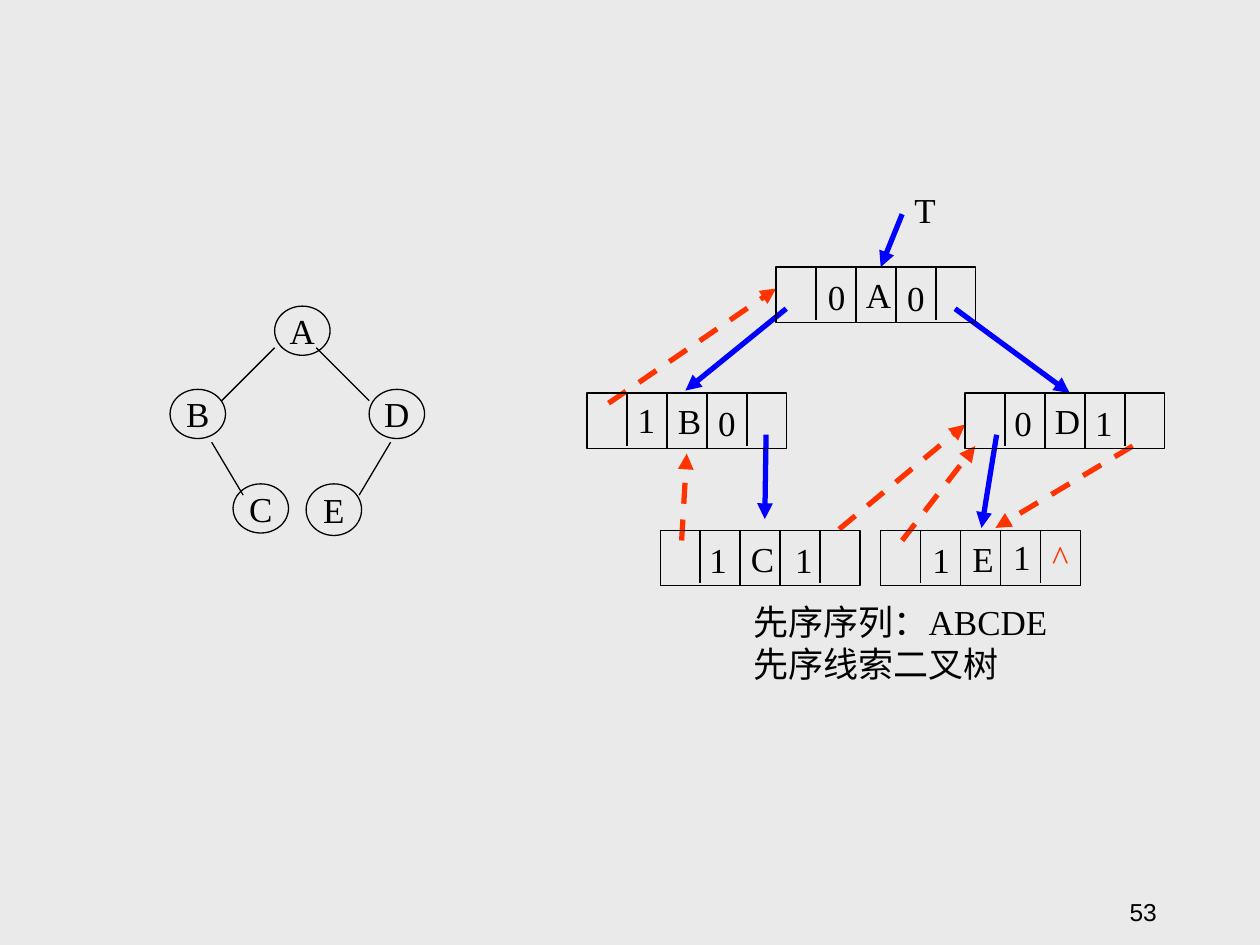
from lxml import etree
from pptx import Presentation
from pptx.dml.color import RGBColor
from pptx.enum.dml import MSO_LINE
from pptx.enum.shapes import MSO_CONNECTOR, MSO_SHAPE
from pptx.enum.text import MSO_ANCHOR, PP_ALIGN
from pptx.oxml.ns import qn
from pptx.util import Inches, Pt

STRAIGHT, DASH = MSO_CONNECTOR.STRAIGHT, MSO_LINE.DASH
OVAL, RECT = MSO_SHAPE.OVAL, MSO_SHAPE.RECTANGLE
TOP, MIDDLE, BOTTOM = MSO_ANCHOR.TOP, MSO_ANCHOR.MIDDLE, MSO_ANCHOR.BOTTOM
LEFT, CENTER, RIGHT = PP_ALIGN.LEFT, PP_ALIGN.CENTER, PP_ALIGN.RIGHT

BLACK, BLUE, RED, GRAY = "000000", "0000FF", "FF3300", "EAEAEA"
FONT = {"name": "Times New Roman", "size": Pt(20)}
NUMBER_FONT = {"name": "Arial", "size": Pt(14)}
CELL_W, NODE_H, DIGIT_W = 0.317, 0.44, 0.34
DIVIDER_HEIGHTS = [0.42, 0.44, 0.44, 0.42]

TREE_NODES = [("A", 2.18, 2.43, 0.39), ("B", 1.35, 3.09, 0.39),
              ("C", 1.85, 3.84, 0.39), ("D", 2.93, 3.09, 0.39),
              ("E", 2.43, 3.84, 0.41)]
TREE_EDGES = [(2.18, 2.76, 1.76, 3.18), (2.51, 2.76, 2.93, 3.18),
              (1.68, 3.51, 1.93, 3.93), (3.1, 3.51, 2.85, 3.93)]
CHILD_LINKS = [(6.24, 2.45, 5.44, 3.1), (7.58, 2.45, 8.49, 3.12),
               (6.08, 3.45, 6.07, 4.12), (7.91, 3.45, 7.79, 4.19),
               (7.16, 1.7, 6.99, 2.12)]
THREADS = [(4.83, 3.2, 6.16, 2.29), (5.41, 4.29, 5.45, 3.6),
           (6.66, 4.2, 7.66, 3.37), (8.99, 3.54, 7.9, 4.19),
           (7.16, 4.29, 7.74, 3.54)]
LINKED_NODES = [("A", 6.16, 2.12), ("B", 4.66, 3.12), ("D", 7.66, 3.12),
                ("C", 5.24, 4.21), ("E", 6.99, 4.21)]
TAGS = [("0", 6.47, 2.13), ("0", 7.1, 2.14), ("1", 4.96, 3.11),
        ("0", 5.6, 3.13), ("0", 7.95, 3.13), ("1", 8.59, 3.13),
        ("1", 5.53, 4.22), ("1", 6.21, 4.22), ("1", 7.3, 4.22),
        ("1", 7.94, 4.2)]


def rgb(value):
    """Return the colour for a hex string."""
    return RGBColor.from_string(value)


def write(sp, lines, align, anchor, color=BLACK, font=FONT, wrap=False):
    """Put formatted paragraphs into a shape."""
    tf = sp.text_frame
    for name, value in {"word_wrap": wrap, "vertical_anchor": anchor}.items():
        setattr(tf, name, value)
    for i, line in enumerate(lines):
        p = tf.add_paragraph() if i else tf.paragraphs[0]
        p.alignment = align
        r = p.add_run()
        r.text = line
        for name, value in font.items():
            setattr(r.font, name, value)
        r.font.color.rgb = rgb(color)


def add_text(s, lines, box, align=LEFT, anchor=TOP, **options):
    """Add a text box."""
    sp = s.shapes.add_textbox(*map(Inches, box))
    write(sp, lines, align, anchor, **options)


def add_outline(s, kind, label, box):
    """Add an unfilled, labelled shape."""
    sp = s.shapes.add_shape(kind, *map(Inches, box))
    sp.shadow.inherit = False
    sp.fill.background()
    sp.line.color.rgb = rgb(BLACK)
    sp.line.width = Pt(0.75)
    write(sp, [label], CENTER, MIDDLE)
    return sp


def add_line(s, ends, color=BLACK, width=0.75, dash=None, arrow=False):
    """Add a straight line, with an arrowhead if wanted."""
    line = s.shapes.add_connector(STRAIGHT, *map(Inches, ends))
    line.line.color.rgb = rgb(color)
    line.line.width = Pt(width)
    if dash:
        line.line.dash_style = dash
    if arrow:
        etree.SubElement(line.line._get_or_add_ln(), qn("a:tailEnd"), type="triangle")
    etree.SubElement(line._element.spPr, qn("a:effectLst"))


def add_linked_node(s, label, x, y):
    """Add a five-cell node with its letter in the middle cell."""
    sp = add_outline(s, RECT, label, (x, y, 5 * CELL_W, NODE_H))
    sp.text_frame.margin_left = Inches(0.14)
    for i, height in enumerate(DIVIDER_HEIGHTS, 1):
        left = x + i * CELL_W
        add_line(s, (left, y, left, y + height))


def main():
    """Build the threaded binary tree slide."""
    prs = Presentation()
    prs.slide_width, prs.slide_height = Inches(10), Inches(7.5)
    s = prs.slides.add_slide(prs.slide_layouts[6])
    s.background.fill.solid()
    s.background.fill.fore_color.rgb = rgb(GRAY)

    for label, x, y, height in TREE_NODES:
        add_outline(s, OVAL, label, (x, y, 0.44, height))
    for ends in TREE_EDGES:
        add_line(s, ends)
    for ends in CHILD_LINKS:
        add_line(s, ends, BLUE, 3, arrow=True)
    for ends in THREADS:
        add_line(s, ends, RED, 3, DASH, arrow=True)
    for label, x, y in LINKED_NODES:
        add_linked_node(s, label, x, y)
    for tag, x, y in TAGS:
        add_text(s, [tag], (x, y, DIGIT_W, NODE_H), CENTER, MIDDLE)
    add_text(s, ["^"], (8.25, 4.2, 0.33, NODE_H), CENTER, MIDDLE, color=RED)
    add_text(s, ["T"], (7.16, 1.45, 0.37, NODE_H))
    add_text(s, ["先序序列：ABCDE", "先序线索二叉树"], (5.88, 4.72, 2.6, 0.77))
    add_text(s, ["53"], (7.2, 6.9, 2.08, 0.5), RIGHT, BOTTOM, font=NUMBER_FONT, wrap=True)
    prs.save("out.pptx")


if __name__ == "__main__":
    main()
